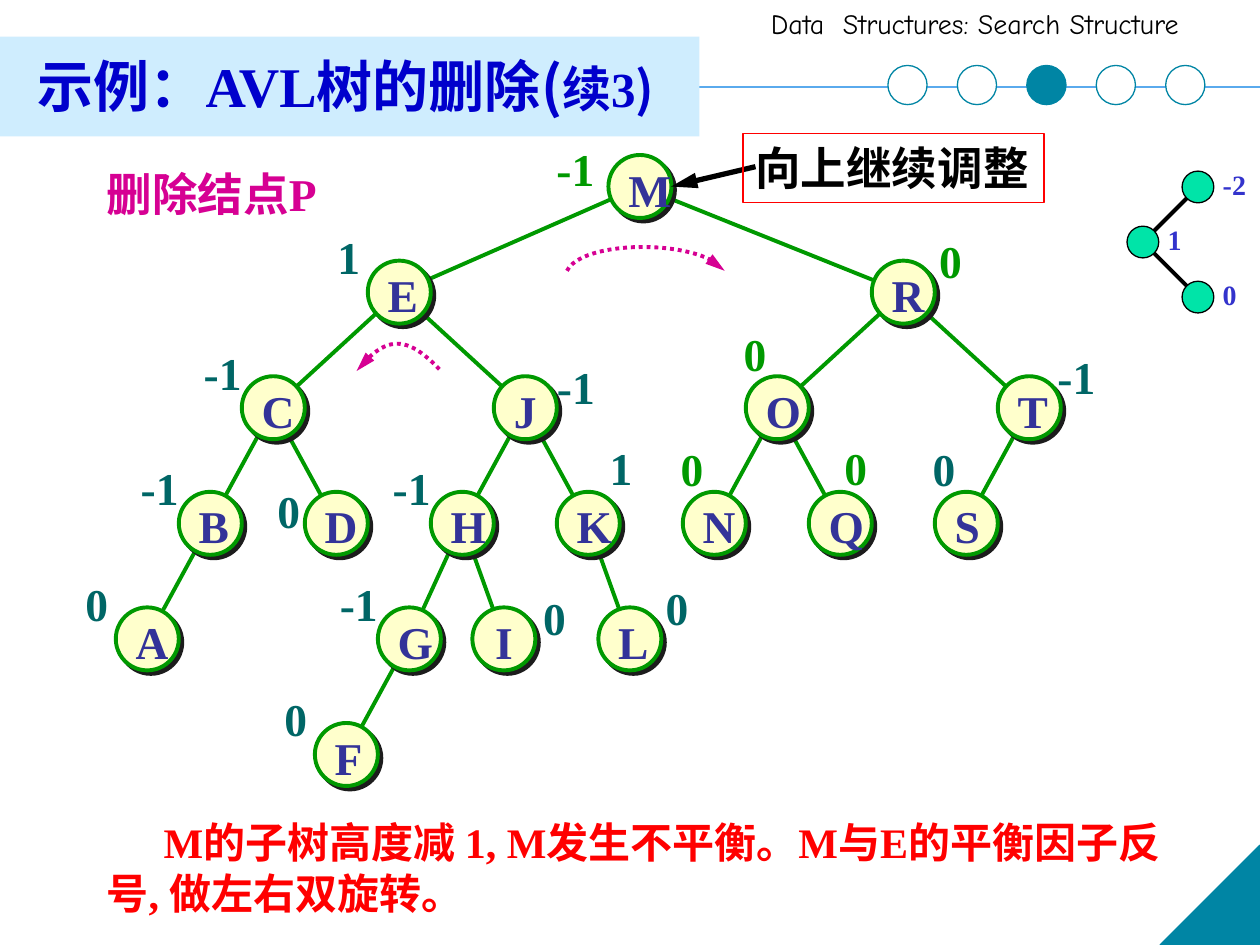
from dataclasses import dataclass

from lxml import etree
from pptx import Presentation
from pptx import util as u
from pptx.dml.color import RGBColor
from pptx.enum import dml, shapes, text
from pptx.oxml.ns import qn


@dataclass(frozen=True)
class Theme:
    """Colours, fonts and type sizes of the slide."""
    teal: str = "0085A4"
    rule: str = "5AAAED"
    band: str = "CFEDFE"
    title: str = "0000CC"
    edge: str = "009900"
    node: str = "FFFFCC"
    key: str = "333399"
    factor: str = "006666"
    changed: str = "009900"
    shade: str = "1C1C1C"
    accent: str = "D60093"
    alert: str = "FF0000"
    mint: str = "00E4A8"
    mini: str = "3333CC"
    black: str = "000000"
    white: str = "FFFFFF"
    serif: str = "Times New Roman"
    hand: str = "Comic Neue"
    han: str = "Noto Sans CJK SC"
    title_size: int = 32
    part_size: int = 28
    label_size: int = 26
    note_size: int = 24
    small_size: int = 16


@dataclass(frozen=True)
class Node:
    """A tree node: its parent, grid column, balance factor and the side that shows it."""
    key: str
    parent: str
    column: float
    balance: str
    side: str = "upper left"
    color: str = Theme.factor


T = Theme()
SIDES = {
    "upper left": (-1.02, -.72), "left": (-.96, -.26), "far left": (-1.3, -.37),
    "upper right": (.95, -.64), "right": (1.02, -.44),
    "above left": (-.45, -1.1), "above": (.31, -1.13), "above right": (.66, -1.13),
}
TREE = [
    Node("M", "", 7.82, "-1", "far left", T.changed),
    Node("E", "M", 4, "1"),
    Node("R", "M", 12, "0", "upper right", T.changed),
    Node("C", "E", 2, "-1"),
    Node("J", "E", 6, "-1", "right"),
    Node("O", "R", 10, "0", "above left", T.changed),
    Node("T", "R", 14, "-1", "upper right"),
    Node("B", "C", 1, "-1"),
    Node("D", "C", 3, "0", "left"),
    Node("H", "J", 5, "-1"),
    Node("K", "J", 7, "1", "above right"),
    Node("N", "O", 9, "0", "above left", T.changed),
    Node("Q", "O", 11, "0", "above", T.changed),
    Node("S", "T", 13, "0", "above left"),
    Node("A", "B", 0, "0"),
    Node("G", "H", 4.16, "-1"),
    Node("I", "H", 5.66, "0", "right"),
    Node("L", "K", 7.66, "0", "upper right"),
    Node("F", "G", 3.16, "0"),
]


def apply(target, formats):
    """Set every attribute named in formats on target."""
    for name, value in formats.items():
        setattr(target, name, value)


def around(center, width, height):
    """Return the box of the given size around a centre."""
    x, y = center
    return x - width / 2, y - height / 2, width, height


def stroke(item, color, width):
    """Give an item a solid line."""
    item.line.color.rgb = RGBColor.from_string(color)
    item.line.width = u.Pt(width)


def arrowhead(item, end):
    """Put a long triangle on the named line end."""
    etree.SubElement(item.line._get_or_add_ln(), qn(f"a:{end}"), type="triangle", len="lg")


def write(paragraph, words, size, color, font=T.serif, bold=True):
    """Add one formatted run to a paragraph."""
    run = paragraph.add_run()
    run.text = words
    apply(run.font, {"size": u.Pt(size), "name": font, "bold": bold})
    run.font.color.rgb = RGBColor.from_string(color)
    etree.SubElement(run.font._element, qn("a:ea"), typeface=T.han)


def label(parent, box, words, size, color, font=T.serif, bold=True, wrap=False):
    """Place a text box that fits its words and return it."""
    item = parent.add_textbox(*map(u.Cm, box))
    apply(item.text_frame, {"word_wrap": wrap, "auto_size": text.MSO_AUTO_SIZE.SHAPE_TO_FIT_TEXT})
    write(item.text_frame.paragraphs[0], words, size, color, font, bold)
    return item


def tag(parent, center, words, color):
    """Centre a key or balance factor on a point."""
    width = .65 + .32 * len(words)
    item = label(parent, around(center, width, 1.35), words, T.label_size, color)
    item.text_frame.paragraphs[0].alignment = text.PP_ALIGN.CENTER


def preset(parent, kind, box, fill, line=None, width=.75):
    """Place a filled preset shape without shadow."""
    item = parent.add_shape(kind, *map(u.Cm, box))
    item.shadow.inherit = False
    item.fill.solid()
    item.fill.fore_color.rgb = RGBColor.from_string(fill)
    if line:
        stroke(item, line, width)
    else:
        item.line.fill.background()
    return item


def link(parent, start, end, color, width):
    """Draw a straight connector without shadow."""
    item = parent.add_connector(shapes.MSO_CONNECTOR.STRAIGHT, *map(u.Cm, (*start, *end)))
    stroke(item, color, width)
    etree.SubElement(item._element.spPr, qn("a:effectLst"))
    return item


def backdrop(parent, box):
    """Draw the rule, corner, running head and title band."""
    left, top, width, height = box
    fold = 2.01
    link(parent, (left, top + 1.75), (left + width, top + 1.75), T.rule, 1)
    corner = preset(parent, shapes.MSO_SHAPE.RIGHT_TRIANGLE,
                    (left + width - fold, top + height - fold, fold, fold), T.teal, T.teal)
    corner._element.spPr.xfrm.set("flipH", "1")
    label(parent, (left + 15.29, top, 10.21, .94), "Data  Structures: Search Structure",
          T.small_size, T.black, T.hand, False, True)
    preset(parent, shapes.MSO_SHAPE.RECTANGLE, (left, top + .74, 14.1, 2.01), T.band)


def heading(title, box):
    """Fill the title placeholder and bring it in front of the band."""
    title._element.getparent().append(title._element)
    apply(title, dict(zip(("left", "top", "width", "height"), map(u.Cm, box))))
    apply(title.text_frame, {"word_wrap": True, "vertical_anchor": text.MSO_ANCHOR.BOTTOM,
                             "auto_size": text.MSO_AUTO_SIZE.SHAPE_TO_FIT_TEXT})
    topic = title.text_frame.paragraphs[0]
    apply(topic, {"alignment": text.PP_ALIGN.LEFT, "line_spacing": 1.05})
    write(topic, "示例：AVL树的删除", T.title_size, T.title)
    write(topic, "(", T.title_size, T.title, T.han)
    write(topic, "续3", T.part_size, T.title)
    write(topic, ")", T.part_size, T.title, T.han)


def progress(parent, box, count=5, current=2):
    """Draw a row of dots with the current one filled."""
    left, top, size, pitch = box
    for step in range(count):
        preset(parent, shapes.MSO_SHAPE.OVAL, (left + pitch * step, top, size, size),
               T.teal if step == current else T.white, T.teal)


def avl_tree(parent, box):
    """Draw edges, then nodes, keys and balance factors around the grid's first centre."""
    left, top, column_pitch, row_pitch, size = box
    levels, centers = {"": -1}, {}
    for node in TREE:
        levels[node.key] = levels[node.parent] + 1
        centers[node.key] = (left + column_pitch * node.column, top + row_pitch * levels[node.key])
    root_x, root_y = centers["M"]
    centers["M"] = root_x, root_y + .2
    for node in TREE:
        if node.parent:
            link(parent, centers[node.parent], centers[node.key], T.edge, 2.25)
    for node in TREE:
        x, y = centers[node.key]
        disc = preset(parent, shapes.MSO_SHAPE.OVAL, around((x, y), size, size), T.node, T.edge, 2.25)
        shadow = etree.SubElement(disc._element.spPr.find(qn("a:effectLst")), qn("a:outerShdw"),
                                  dist=str(u.Pt(2.8)), dir="2700000", rotWithShape="0")
        etree.SubElement(shadow, qn("a:srgbClr"), val=T.shade)
        tag(parent, (x, y + .05), node.key, T.key)
        dx, dy = SIDES[node.side]
        tag(parent, (x + dx, y + dy), node.balance, node.color)


def rotation(parent, box, lean, end, steps=24):
    """Draw a dotted arch; lean holds the two control points as shares of its width."""
    left, top, width, height = box
    near, far = lean
    points = []
    for t in (step / steps for step in range(steps + 1)):
        across = 3 * t * (1 - t) ** 2 * near + 3 * t ** 2 * (1 - t) * far + t ** 3
        rise = 4 * t * (1 - t)
        points.append((u.Cm(left + width * across), u.Cm(top + height * (1 - rise))))
    builder = parent.build_freeform(*points[0])
    builder.add_line_segments(points[1:], close=False)
    arch = builder.convert_to_shape()
    arch.shadow.inherit = False
    arch.fill.background()
    stroke(arch, T.accent, 2.25)
    arch.line.dash_style = dml.MSO_LINE.ROUND_DOT
    arrowhead(arch, end)


def remarks(parent, box):
    """Place the deletion label, the callout with its pointer and the explanation."""
    left, top, width = box
    label(parent, (left, top, 4.75, 1.35), "删除结点P", T.label_size, T.accent, wrap=True)
    pointer = link(parent, (left + 13.33, top + .13), (left + 11.63, top + .53), T.black, 3)
    arrowhead(pointer, "tailEnd")
    callout = label(parent, (left + 13.08, top - .54, 6.07, 1.4), "向上继续调整", T.label_size, T.black)
    stroke(callout, T.alert, .75)
    reason = label(parent, (left, top + 13.11, width, 2.36),
                   "M的子树高度减 1, M发生不平衡。M与E的平衡因子反号, 做左右双旋转。",
                   T.note_size, T.alert, wrap=True)
    reason.text_frame.paragraphs[0]._p.get_or_add_pPr().set("indent", str(u.Cm(1.15)))


def imbalance(parent, box):
    """Draw the small left-right imbalance pattern as a group."""
    left, top, reach, size = box
    group = parent.add_group_shape().shapes
    upper, middle, lower = (left + reach, top), (left, top + reach), (left + reach, top + 2 * reach)
    for outer in (upper, lower):
        link(group, middle, outer, T.black, 2.25)
    for (x, y), balance in ((upper, "-2"), (middle, "1"), (lower, "0")):
        preset(group, shapes.MSO_SHAPE.OVAL, around((x, y), size, size), T.mint, T.black)
        factor = label(group, (x + .5, y - .4, .29 * len(balance), .6), balance, T.small_size, T.mini)
        apply(factor.text_frame, dict.fromkeys(
            ("margin_left", "margin_top", "margin_right", "margin_bottom"), 0))


def main():
    """Build and save the slide."""
    deck = Presentation()
    apply(deck, {"slide_width": u.Cm(25.4), "slide_height": u.Cm(19.05)})
    slide = deck.slides.add_slide(deck.slide_layouts[5])
    canvas = slide.shapes
    backdrop(canvas, (0, 0, 25.4, 19.05))
    heading(canvas.title, (.5, .84, 15, 1.68))
    progress(canvas, (17.9, 1.32, .79, 1.4))
    avl_tree(canvas, (2.97, 3.56, 1.27, 2.33, 1.27))
    rotation(canvas, (11.43, 4.98, 3.18, .48), (.1, .85), "tailEnd")
    rotation(canvas, (7.19, 6.93, 1.7, .55), (.35, .6), "headEnd")
    remarks(canvas, (1.9, 3.23, 22.05))
    imbalance(canvas, (23.04, 3.77, 1.11, .64))
    deck.save("out.pptx")


if __name__ == "__main__":
    main()
